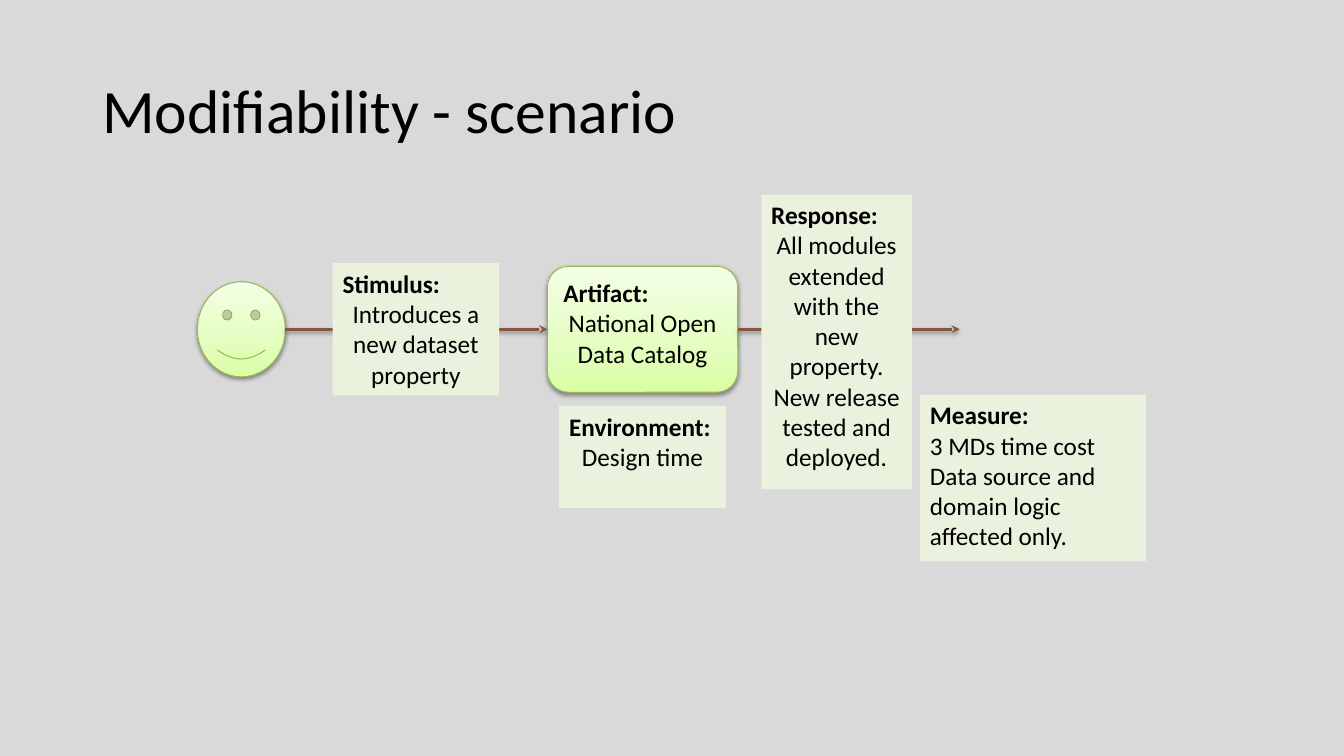
from dataclasses import dataclass

from lxml import etree
from pptx import Presentation
from pptx.dml.color import RGBColor
from pptx.enum.shapes import MSO_CONNECTOR, MSO_SHAPE
from pptx.enum.text import MSO_ANCHOR, PP_ALIGN
from pptx.oxml import parse_xml
from pptx.oxml.ns import nsdecls, qn
from pptx.util import Pt

STRAIGHT = MSO_CONNECTOR.STRAIGHT
RECTANGLE, ROUNDED, SMILEY = MSO_SHAPE.RECTANGLE, MSO_SHAPE.ROUNDED_RECTANGLE, MSO_SHAPE.SMILEY_FACE
TOP, MIDDLE = MSO_ANCHOR.TOP, MSO_ANCHOR.MIDDLE
LEFT, CENTER = PP_ALIGN.LEFT, PP_ALIGN.CENTER
SIDE_LEFT, SIDE_RIGHT = 1, 3


@dataclass(frozen=True)
class Theme:
    font: str = "Calibri"
    title_size: float = 44
    body_size: float = 18
    background: str = "D9D9D9"
    text: str = "000000"
    note: str = "EAF1DD"
    outline: str = "97B853"
    arrow: str = "865640"
    gradient: tuple = ((0, "DAFEA4"), (35, "E3FEBF"), (100, "F4FEE6"))


class ScenarioSlide:
    """Draws the elements of a quality scenario on one slide, measured in points."""

    def __init__(self, slide, theme):
        self.slide = slide
        self.theme = theme
        fill = slide.background.fill
        fill.solid()
        fill.fore_color.rgb = RGBColor.from_string(theme.background)

    def format_paragraph(self, paragraph, size, bold=False, alignment=LEFT):
        paragraph.alignment = alignment
        for run in paragraph.runs:
            run.font.name = self.theme.font
            run.font.size = Pt(size)
            run.font.bold = bold
            run.font.color.rgb = RGBColor.from_string(self.theme.text)

    def title(self, text, left, top, width, height):
        frame = self.slide.shapes.add_textbox(Pt(left), Pt(top), Pt(width), Pt(height)).text_frame
        frame.word_wrap = True
        frame.vertical_anchor = MIDDLE
        frame.text = text
        frame.paragraphs[0].line_spacing = 0.9
        self.format_paragraph(frame.paragraphs[0], self.theme.title_size)

    def add_shadow(self, shape):
        shape.element.spPr.append(parse_xml(
            f'<a:effectLst {nsdecls("a")}><a:outerShdw blurRad="{Pt(3.1)}" dist="{Pt(1.6)}" '
            'dir="5400000" rotWithShape="0"><a:srgbClr val="000000"><a:alpha val="38000"/>'
            '</a:srgbClr></a:outerShdw></a:effectLst>'))

    def label(self, shape, heading, lines, alignment):
        frame = shape.text_frame
        frame.word_wrap = True
        frame.vertical_anchor = TOP
        frame.text = heading
        self.format_paragraph(frame.paragraphs[0], self.theme.body_size, bold=True)
        for line in lines:
            paragraph = frame.add_paragraph()
            paragraph.text = line
            self.format_paragraph(paragraph, self.theme.body_size, alignment=alignment)

    def note(self, heading, lines, left, top, width, height, alignment=CENTER):
        shape = self.slide.shapes.add_shape(RECTANGLE, Pt(left), Pt(top), Pt(width), Pt(height))
        shape.shadow.inherit = False
        shape.fill.solid()
        shape.fill.fore_color.rgb = RGBColor.from_string(self.theme.note)
        shape.line.fill.background()
        self.label(shape, heading, lines, alignment)

    def glossy(self, kind, left, top, width, height):
        shape = self.slide.shapes.add_shape(kind, Pt(left), Pt(top), Pt(width), Pt(height))
        stops = "".join(f'<a:gs pos="{position * 1000}"><a:srgbClr val="{color}"/></a:gs>'
                        for position, color in self.theme.gradient)
        shape.fill.background()
        properties = shape.element.spPr
        properties.replace(properties.find(qn("a:noFill")), parse_xml(
            f'<a:gradFill {nsdecls("a")} rotWithShape="1"><a:gsLst>{stops}</a:gsLst>'
            '<a:lin ang="16200000" scaled="0"/></a:gradFill>'))
        shape.line.color.rgb = RGBColor.from_string(self.theme.outline)
        shape.line.width = Pt(0.75)
        self.add_shadow(shape)
        return shape

    def arrow(self, start, end, y):
        connector = self.slide.shapes.add_connector(STRAIGHT, Pt(start), Pt(y), Pt(end), Pt(y))
        connector.line.color.rgb = RGBColor.from_string(self.theme.arrow)
        connector.line.width = Pt(2)
        outline = connector.element.spPr.find(qn("a:ln"))
        etree.SubElement(outline, qn("a:tailEnd"), type="stealth")
        self.add_shadow(connector)
        return connector


def main():
    presentation = Presentation()
    presentation.slide_width, presentation.slide_height = Pt(960), Pt(540)
    page = ScenarioSlide(presentation.slides.add_slide(presentation.slide_layouts[6]), Theme())
    axis = 235.2
    face_left, face_width, face_height = 141, 62.8, 68
    artifact_left, artifact_width, artifact_height = 391, 136, 90
    stimulus_height = 94.4
    note_width = 119
    artifact_right = artifact_left + artifact_width

    page.title("Modifiability - scenario", 66, 28.75, 828, 104.4)
    page.glossy(SMILEY, face_left, axis - face_height / 2, face_width, face_height)
    artifact = page.glossy(ROUNDED, artifact_left, axis - artifact_height / 2,
                           artifact_width, artifact_height)
    page.label(artifact, "Artifact:", ["National Open Data Catalog"], CENTER)
    page.arrow(face_left + face_width, artifact_left, axis).end_connect(artifact, SIDE_LEFT)
    page.note("Stimulus:", ["Introduces a new dataset property"],
              237.6, axis - stimulus_height / 2, note_width, stimulus_height)
    page.arrow(artifact_right, 685.5, axis).begin_connect(artifact, SIDE_RIGHT)
    page.note("Environment:", ["Design time"],
              artifact_left + (artifact_width - note_width) / 2, 290, note_width, 72.7)
    page.note("Response:", ["All modules extended with the new property.",
                            "New release tested and deployed."], 543.8, 139, 107.6, 210.4)
    page.note("Measure:", ["3 MDs time cost", "Data source and domain logic affected only."],
              657.2, 282, 161.4, 118.8, LEFT)
    presentation.save("out.pptx")


if __name__ == "__main__":
    main()
